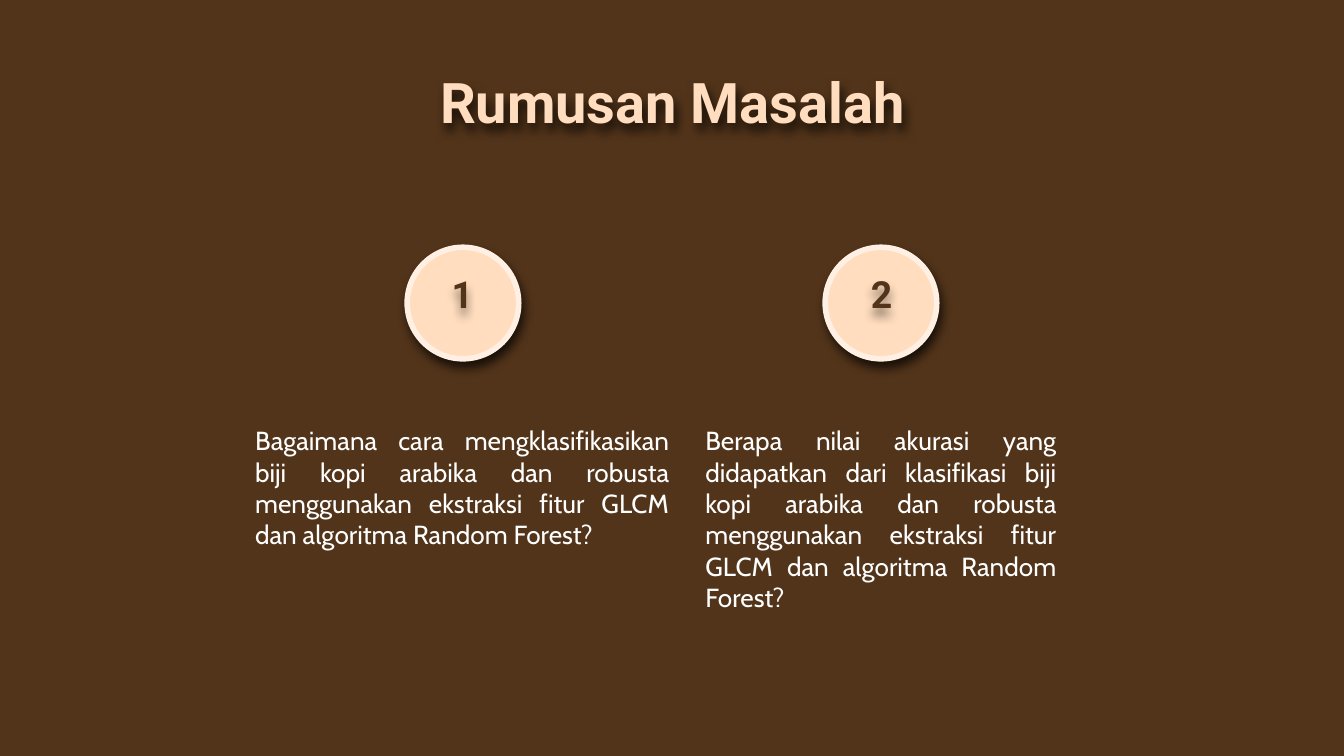
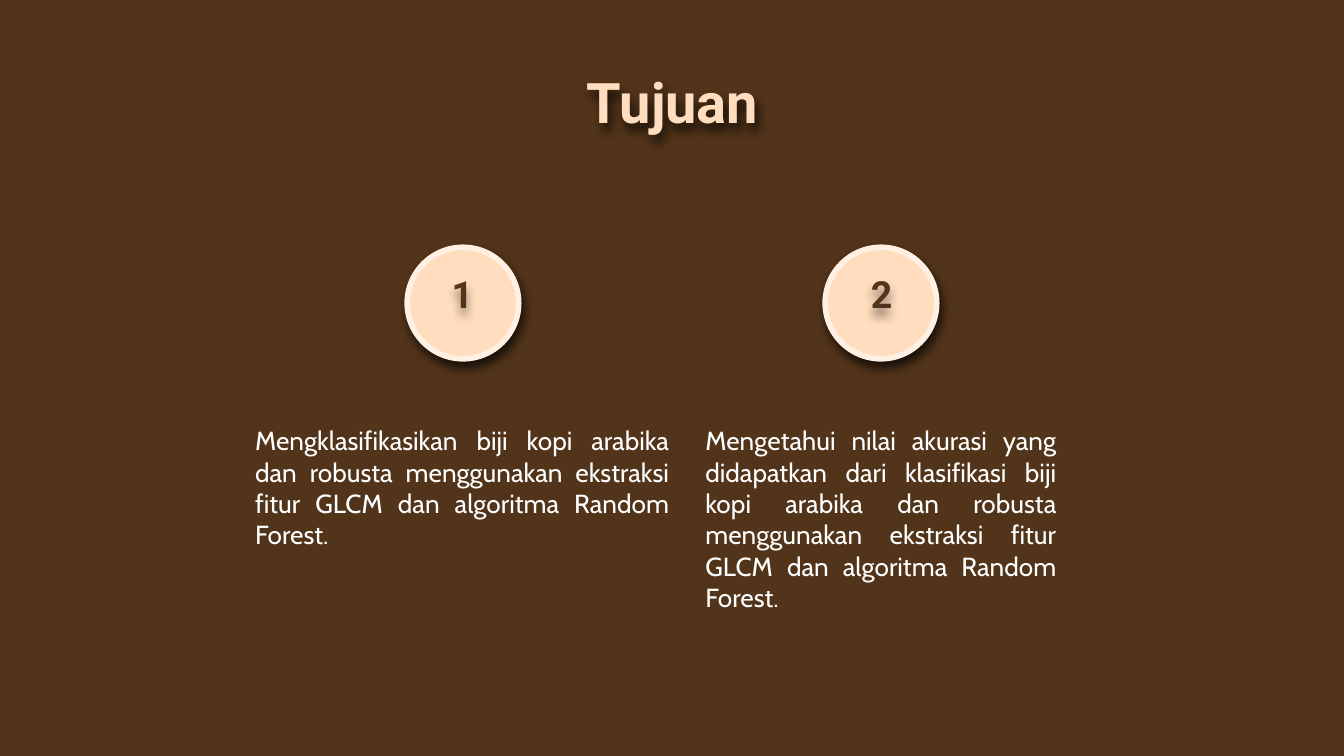
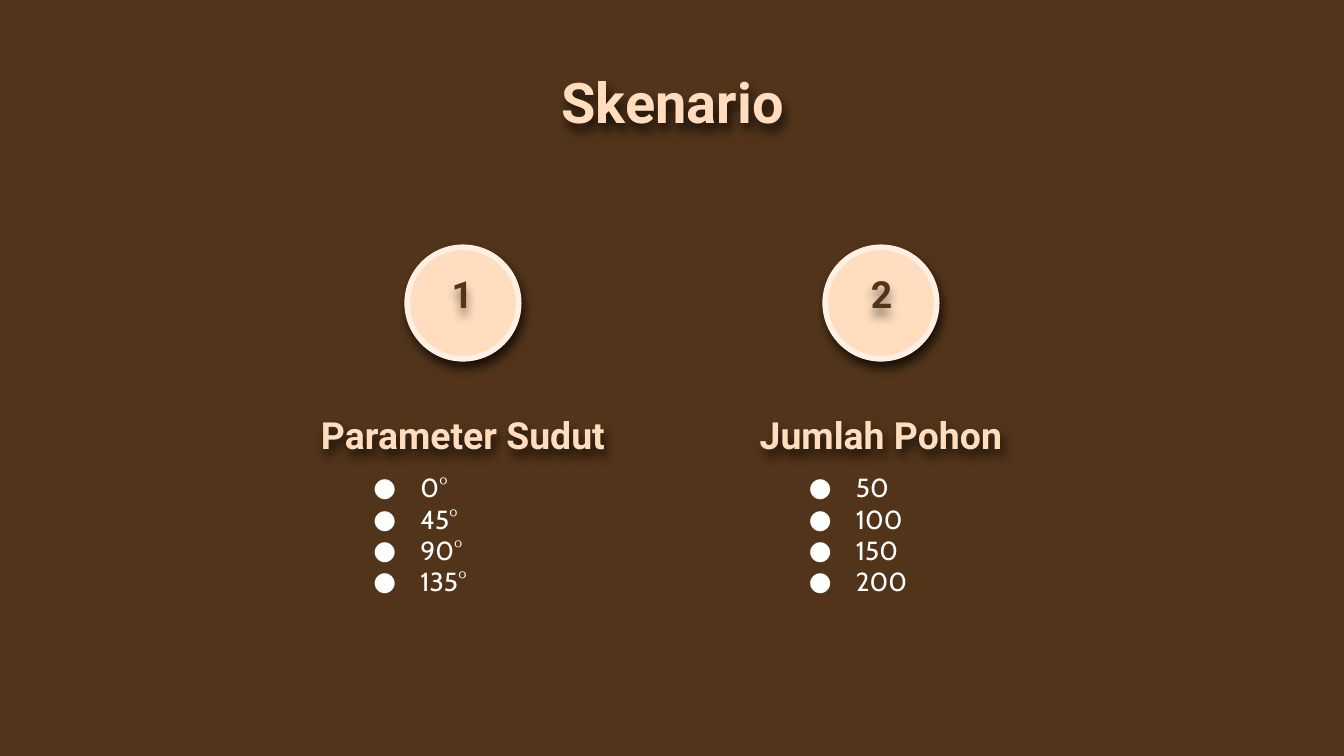
"""Build three slides on coffee bean classification: problems, goals and scenarios."""
from lxml.etree import SubElement
from pptx import Presentation
from pptx.dml.color import RGBColor
from pptx.enum.shapes import MSO_SHAPE
from pptx.enum.text import MSO_ANCHOR as Anchor, PP_ALIGN as Align
from pptx.oxml.ns import qn
from pptx.util import Inches, Pt

COLORS = {
    "coffee": "52341A",
    "peach": "FFDDBE",
    "cream": "FFF0E3",
    "white": "FFFFFF",
    "black": "000000",
}
STYLES = {
    "title": {"name": "Roboto", "size": Pt(30), "bold": True, "color": "peach"},
    "heading": {"name": "Roboto", "size": Pt(20), "bold": True, "color": "peach"},
    "number": {"name": "Roboto", "size": Pt(20), "bold": True, "color": "coffee"},
    "body": {"name": "Cabin", "size": Pt(14), "bold": False, "color": "white"},
}
CIRCLE_SIZE = 0.83
CIRCLE_LEFTS = [3.03, 6.14]
NUMBER_LEFTS = [3.04, 6.16]
BODY_BOXES = [(1.8, 3.28), (5.15, 2.81)]
HEADING_LEFTS = [2.04, 5.15]
LIST_LEFTS = [2.53, 5.77]

SLIDES = [
    {
        "title": "Rumusan Masalah",
        "texts": [
            "Bagaimana cara mengklasifikasikan biji kopi arabika dan robusta "
            "menggunakan ekstraksi fitur GLCM dan algoritma Random Forest?",
            "Berapa nilai akurasi yang didapatkan dari klasifikasi biji kopi arabika "
            "dan robusta menggunakan ekstraksi fitur GLCM dan algoritma Random Forest?",
        ],
    },
    {
        "title": "Tujuan",
        "texts": [
            "Mengklasifikasikan biji kopi arabika dan robusta "
            "menggunakan ekstraksi fitur GLCM dan algoritma Random Forest.",
            "Mengetahui nilai akurasi yang didapatkan dari klasifikasi biji kopi arabika "
            "dan robusta menggunakan ekstraksi fitur GLCM dan algoritma Random Forest.",
        ],
    },
    {
        "title": "Skenario",
        "lists": [
            ("Parameter Sudut", ["0°", "45°", "90°", "135°"]),
            ("Jumlah Pohon", ["50", "100", "150", "200"]),
        ],
    },
]


def add_shadow(shape, opacity=70, angle=70):
    shape.shadow.inherit = False
    effects = shape._element.spPr.find(qn("a:effectLst"))
    shadow = SubElement(effects, qn("a:outerShdw"), blurRad=str(Pt(5.6)), dist=str(Pt(3.8)),
                        dir=str(angle * 60000), algn="bl", rotWithShape="0")
    color = SubElement(shadow, qn("a:srgbClr"), val=COLORS["black"])
    SubElement(color, qn("a:alpha"), val=str(opacity * 1000))


def add_text(slide, box, lines, style, align=Align.CENTER, anchor=Anchor.TOP, bullet=None):
    shape = slide.shapes.add_textbox(*map(Inches, box))
    frame = shape.text_frame
    frame.word_wrap = True
    frame.vertical_anchor = anchor
    for side in ("left", "top", "right", "bottom"):
        setattr(frame, f"margin_{side}", Inches(0.1))
    for index, line in enumerate(lines):
        paragraph = frame.add_paragraph() if index else frame.paragraphs[0]
        paragraph.alignment = align
        if bullet:
            properties = paragraph._p.get_or_add_pPr()
            properties.set("marL", str(Inches(0.5)))
            properties.set("indent", str(Inches(-0.35)))
            bullet_color = SubElement(properties, qn("a:buClr"))
            SubElement(bullet_color, qn("a:srgbClr"), val=COLORS["white"])
            SubElement(properties, qn("a:buFont"), typeface=STYLES[style]["name"])
            SubElement(properties, qn("a:buChar"), char=bullet)
        run = paragraph.add_run()
        run.text = line
        for attribute, value in STYLES[style].items():
            if attribute == "color":
                run.font.color.rgb = RGBColor.from_string(COLORS[value])
            else:
                setattr(run.font, attribute, value)
    return shape


presentation = Presentation()
presentation.slide_width = Inches(10)
presentation.slide_height = Inches(10 * 9 / 16)

for content in SLIDES:
    slide = presentation.slides.add_slide(presentation.slide_layouts[6])
    slide.background.fill.solid()
    slide.background.fill.fore_color.rgb = RGBColor.from_string(COLORS["coffee"])
    add_shadow(add_text(slide, (0.79, 0.4, 8.43, 0.6), [content["title"]], "title"))

    for (left, width), text in zip(BODY_BOXES, content.get("texts", [])):
        add_text(slide, (left, 3.06, width, 1), [text], "body", Align.JUSTIFY)

    for left in CIRCLE_LEFTS:
        circle = slide.shapes.add_shape(MSO_SHAPE.ROUNDED_RECTANGLE, Inches(left), Inches(1.84),
                                        Inches(CIRCLE_SIZE), Inches(CIRCLE_SIZE))
        circle.adjustments[0] = 0.5
        circle.fill.solid()
        circle.fill.fore_color.rgb = RGBColor.from_string(COLORS["peach"])
        circle.line.color.rgb = RGBColor.from_string(COLORS["cream"])
        circle.line.width = Pt(3)
        add_shadow(circle)

    for number, left in enumerate(NUMBER_LEFTS, start=1):
        number_box = add_text(slide, (left, 1.92, 0.8, 0.5), [str(number)], "number")
        add_shadow(number_box, opacity=50, angle=90)

    for heading_left, list_left, (heading, items) in zip(
            HEADING_LEFTS, LIST_LEFTS, content.get("lists", [])):
        add_shadow(add_text(slide, (heading_left, 3.1, 2.81, 0.4), [heading], "heading",
                            anchor=Anchor.BOTTOM))
        add_text(slide, (list_left, 3.41, 1.57, 0.97), items, "body", Align.LEFT, bullet="●")

presentation.save("out.pptx")
